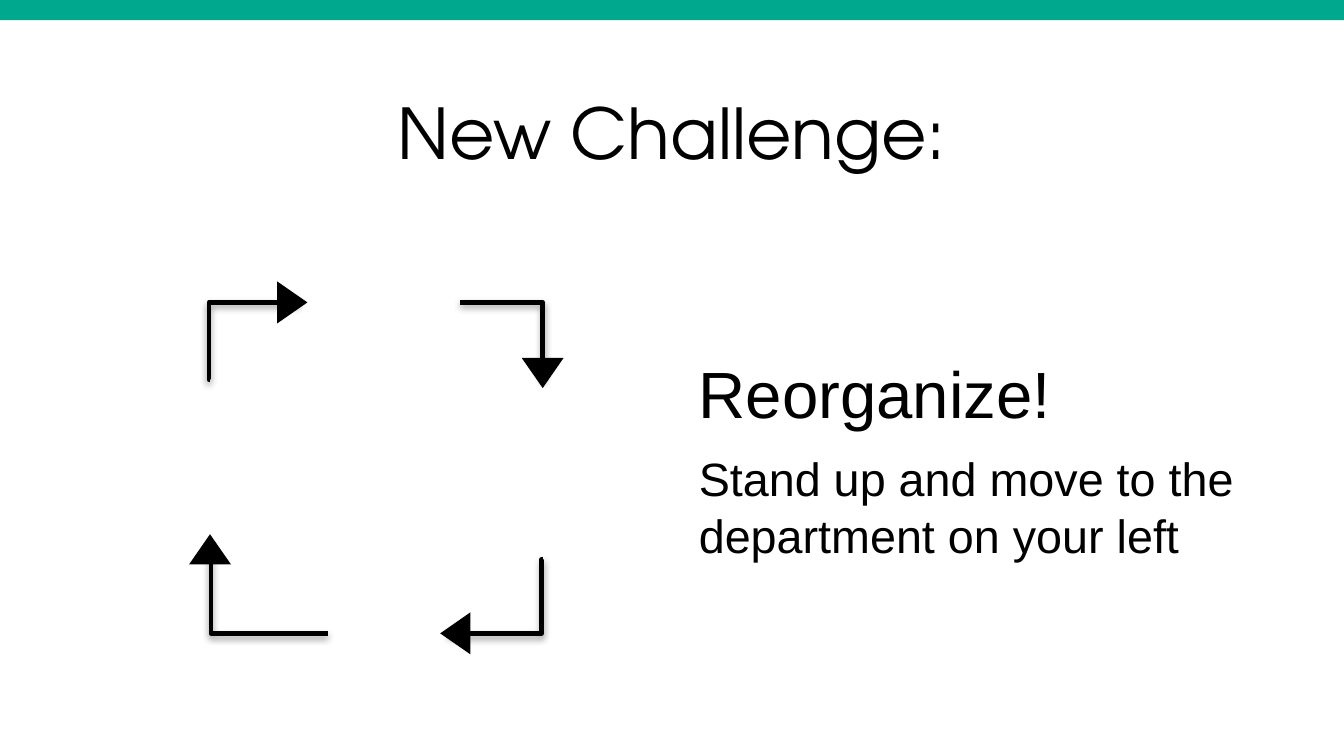
from lxml.etree import SubElement
from pptx import Presentation
from pptx.dml.color import RGBColor
from pptx.enum.shapes import MSO_CONNECTOR, MSO_SHAPE
from pptx.enum.text import MSO_ANCHOR, PP_ALIGN
from pptx.oxml.ns import qn
from pptx.util import Inches, Pt

COLORS = {"ink": "000000", "banner": "00A88E"}
HEAD_WIDTH, HEAD_HEIGHT = 0.25, 0.18


def color(name):
    return RGBColor.from_string(COLORS[name])


def add_text(page, text, box, size, font="Arial", align=PP_ALIGN.LEFT, anchor=MSO_ANCHOR.TOP):
    frame = page.shapes.add_textbox(*map(Inches, box)).text_frame
    frame.word_wrap = True
    frame.vertical_anchor = anchor
    frame.margin_left = frame.margin_right = Inches(0.08)
    frame.margin_top = frame.margin_bottom = Inches(0.04)
    para = frame.paragraphs[0]
    para.alignment = align
    span = para.add_run()
    span.text = text
    span.font.name = font
    span.font.size = Pt(size)
    span.font.color.rgb = color("ink")


def add_solid(page, kind, box, fill, rotation=0):
    shape = page.shapes.add_shape(kind, *map(Inches, box))
    shape.shadow.inherit = False
    shape.fill.solid()
    shape.fill.fore_color.rgb = color(fill)
    shape.line.fill.background()
    shape.rotation = rotation


def add_soft_shadow(connector):
    effects = SubElement(connector._element.spPr, qn("a:effectLst"))
    shadow = SubElement(effects, qn("a:outerShdw"), blurRad=str(Pt(3.1)),
                        dist=str(Pt(1.6)), dir="5400000", rotWithShape="0")
    ink = SubElement(shadow, qn("a:srgbClr"), val=COLORS["ink"])
    SubElement(ink, qn("a:alpha"), val="38000")


def add_elbow(page, start, end, bend):
    """Draw a bent line; bend is the share of the width where it turns."""
    connector = page.shapes.add_connector(
        MSO_CONNECTOR.ELBOW, *map(Inches, (*start, *end)))
    connector.line.color.rgb = color("ink")
    connector.line.width = Pt(2)
    guides = connector._element.spPr.find(qn("a:prstGeom")).get_or_add_avLst()
    SubElement(guides, qn("a:gd"), name="adj1", fmla=f"val {round(bend * 100000)}")
    add_soft_shadow(connector)


def add_banner(page, box):
    add_solid(page, MSO_SHAPE.RECTANGLE, box, "banner")


def add_title(page, box):
    add_text(page, "New Challenge:", box, 30, font="TeX Gyre Adventor",
             align=PP_ALIGN.CENTER, anchor=MSO_ANCHOR.MIDDLE)


def add_message(page, box):
    left, top, width, height = box
    heading_height = 0.58
    add_text(page, "Reorganize!", (left, top, 2.33, heading_height), 28)
    add_text(page, "Stand up and move to the department on your left",
             (left, top + heading_height, width, height - heading_height), 20)


def add_rotation_cycle(page, box):
    """Place four corner arrows that turn clockwise around the box."""
    left, top, width, height = box
    right, bottom = left + width, top + height
    elbows = [
        ((left + 0.53, top), (left, top + 0.46), 1.01),
        ((left, bottom - 0.55), (left + 0.7, bottom), 0.01),
        ((right - 0.56, bottom), (right, bottom - 0.44), 0.99),
        ((right - 0.49, top), (right, top + 0.46), 1),
    ]
    heads = [
        (left + 0.49, top, 90),
        (right, top + 0.42, 180),
        (right - 0.52, bottom, 270),
        (left, bottom - 0.5, 0),
    ]
    for start, end, bend in elbows:
        add_elbow(page, start, end, bend)
    for x, y, rotation in heads:
        head_box = (x - HEAD_WIDTH / 2, y - HEAD_HEIGHT / 2, HEAD_WIDTH, HEAD_HEIGHT)
        add_solid(page, MSO_SHAPE.ISOSCELES_TRIANGLE, head_box, "ink", rotation)


def main():
    deck = Presentation()
    deck.slide_width, deck.slide_height = Inches(8), Inches(4.5)
    page = deck.slides.add_slide(deck.slide_layouts[6])
    add_title(page, (0.4, 0.41, 7.2, 0.75))
    add_banner(page, (0, 0, 8, 0.12))
    add_message(page, (4.08, 2.06, 3.47, 1.4))
    add_rotation_cycle(page, (1.25, 1.8, 1.98, 1.97))
    deck.save("out.pptx")


if __name__ == "__main__":
    main()
